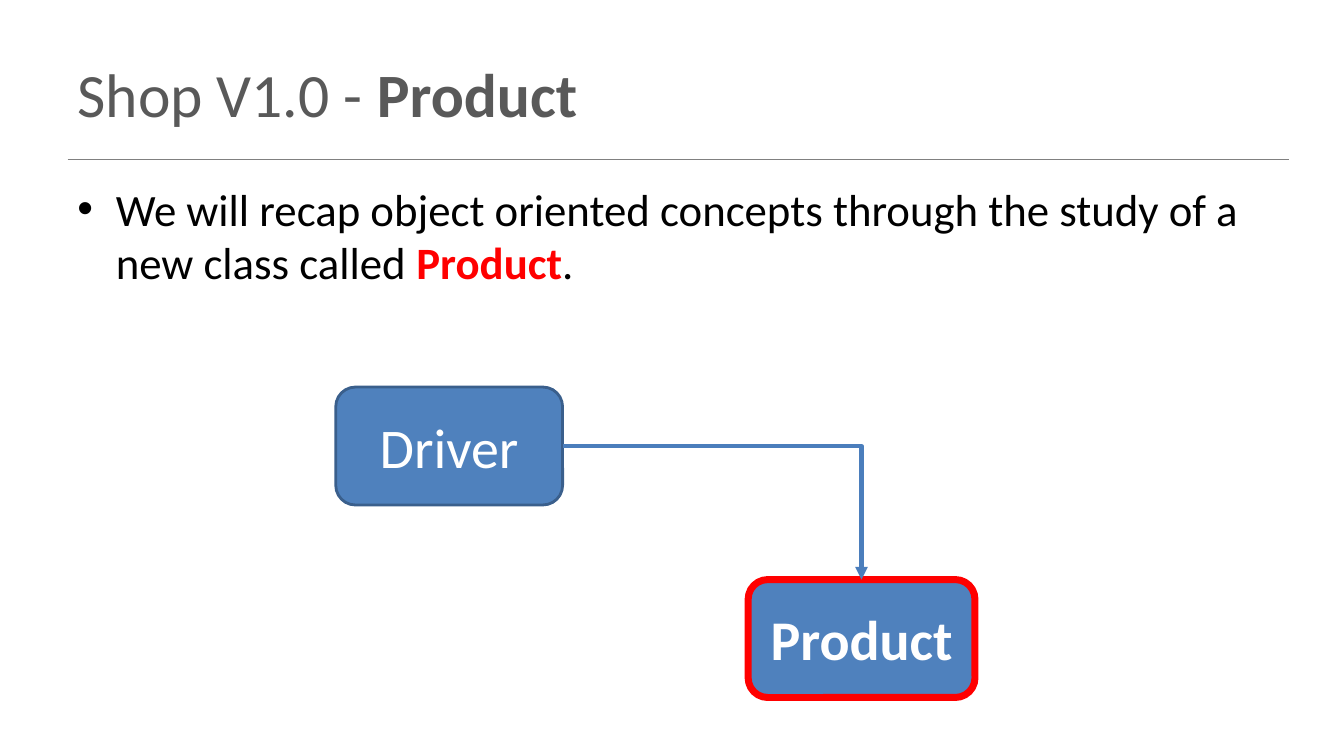
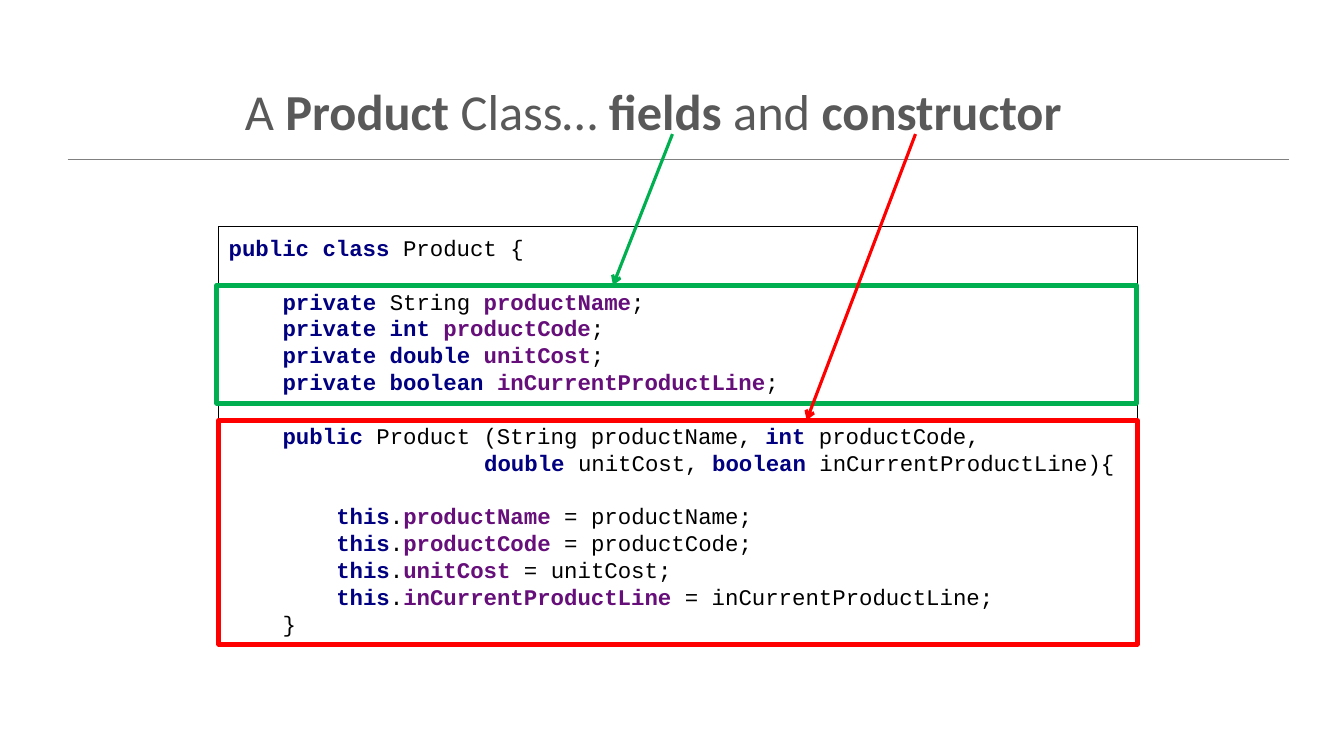
from pptx import Presentation
from pptx.dml.color import RGBColor
from pptx.enum.shapes import MSO_CONNECTOR as CONNECTOR, MSO_SHAPE as SHAPE
from pptx.enum.text import MSO_ANCHOR as ANCHOR, PP_ALIGN as ALIGN
from pptx.oxml.ns import qn
from pptx.util import Inches, Pt
from lxml import etree

GREY = RGBColor(0x59, 0x59, 0x59)
RULE_GREY = RGBColor(0x80, 0x80, 0x80)
BLACK = RGBColor(0, 0, 0)
WHITE = RGBColor(0xFF, 0xFF, 0xFF)
RED = RGBColor(0xFF, 0, 0)
GREEN = RGBColor(0, 0xB0, 0x50)
BLUE = RGBColor(0x4F, 0x81, 0xBD)
DARK_BLUE = RGBColor(0x3A, 0x5F, 0x8C)
ARROW_BLUE = RGBColor(0x4B, 0x7E, 0xBC)
NAVY = RGBColor(0, 0, 0x80)
PURPLE = RGBColor(0x66, 0x0E, 0x7A)

TITLE = {"name": "Calibri", "size": Pt(44), "bold": False, "color": GREY}
SMALL_TITLE = {**TITLE, "size": Pt(36)}
BODY = {**TITLE, "size": Pt(32), "color": BLACK}
LABEL = {**TITLE, "size": Pt(40), "color": WHITE}
CODE = {"name": "Courier New", "size": Pt(16), "bold": False, "color": BLACK}
BOLD = {"bold": True}
PLAIN = {}
HIGHLIGHT = {"bold": True, "color": RED}
KEYWORD = {"bold": True, "color": NAVY}
FIELD = {"bold": True, "color": PURPLE}

SHOP_TITLE = [("Shop V1.0 - ", PLAIN), ("Product", BOLD)]
SHOP_TEXT = [
    ("We will recap object oriented concepts through the study of a new class called ", PLAIN),
    ("Product", HIGHLIGHT),
    (".", PLAIN),
]
CLASS_BOXES = [
    ("Driver", PLAIN, 3.33, 3.84, DARK_BLUE, 2),
    ("Product", BOLD, 7.42, 5.75, RED, 5),
]

CLASS_TITLE = [
    ("A ", PLAIN), ("Product", BOLD), (" Class… ", PLAIN),
    ("fields ", BOLD), ("and", PLAIN), (" constructor", BOLD),
]
FIELDS = [
    ("String ", PLAIN, "productName"),
    ("int ", KEYWORD, "productCode"),
    ("double ", KEYWORD, "unitCost"),
    ("boolean ", KEYWORD, "inCurrentProductLine"),
]
DECLARATIONS = [
    (4, index == 0, [("private ", KEYWORD), (kind, style), (name, FIELD), (";", PLAIN)])
    for index, (kind, style, name) in enumerate(FIELDS)
]
ASSIGNMENTS = [
    (8, index == 0, [("this", KEYWORD), (".", PLAIN), (name, FIELD), (f" = {name};", PLAIN)])
    for index, (kind, style, name) in enumerate(FIELDS)
]
CODE_LINES = [
    (0, False, [("public class ", KEYWORD), ("Product {", PLAIN)]),
    *DECLARATIONS,
    (4, True, [("public ", KEYWORD), ("Product (String productName, ", PLAIN),
               ("int ", KEYWORD), ("productCode,", PLAIN)]),
    (19, False, [("double ", KEYWORD), ("unitCost, ", PLAIN),
                 ("boolean ", KEYWORD), ("inCurrentProductLine){", PLAIN)]),
    *ASSIGNMENTS,
    (4, False, [("}", PLAIN)]),
]
CODE_BOX = (2.17, 2.25, 9.11, 4.14)
CODE_PITCH = Pt(19.2)
CHAR_WIDTH = Pt(9.6)
FRAMES = [
    ((2.15, 2.83, 9.12, 1.17), GREEN, (6.67, 1.33), (6.08, 2.83)),
    ((2.17, 4.17, 9.11, 2.22), RED, (9.08, 1.33), (8, 4.17)),
]


def write(para, spans, base):
    for text, changes in spans:
        span = para.add_run()
        span.text = text
        for key, value in {**base, **changes}.items():
            if key == "color":
                span.font.color.rgb = value
            else:
                setattr(span.font, key, value)


def indent(para, left, hanging=0):
    properties = para._p.get_or_add_pPr()
    properties.set("marL", str(int(left)))
    properties.set("indent", str(-int(hanging)))
    return properties


def add_text(page, place, spans, base, anchor=ANCHOR.TOP):
    box = page.shapes.add_textbox(*map(Inches, place))
    box.text_frame.word_wrap = True
    box.text_frame.vertical_anchor = anchor
    para = box.text_frame.paragraphs[0]
    write(para, spans, base)
    return para


def add_box(page, kind, place, fill, line, width):
    box = page.shapes.add_shape(kind, *map(Inches, place))
    box.shadow.inherit = False
    if fill is None:
        box.fill.background()
    else:
        box.fill.solid()
        box.fill.fore_color.rgb = fill
    box.line.color.rgb = line
    box.line.width = Pt(width)
    box.text_frame.word_wrap = True
    box.text_frame.vertical_anchor = ANCHOR.MIDDLE
    return box


def add_line(page, start, end, color, width, head=None, kind=CONNECTOR.STRAIGHT):
    line = page.shapes.add_connector(kind, *map(Inches, (*start, *end)))
    line.line.color.rgb = color
    line.line.width = Pt(width)
    if head:
        etree.SubElement(line.line._get_or_add_ln(), qn("a:tailEnd"), type=head)
    etree.SubElement(line._element.spPr, qn("a:effectLst"))
    return line


def add_page(deck, title, place, style):
    page = deck.slides.add_slide(deck.slide_layouts[6])
    add_line(page, (0.67, 1.58), (12.78, 1.58), RULE_GREY, 1)
    add_text(page, place, title, style, ANCHOR.MIDDLE)
    return page


def build_shop_page(deck):
    page = add_page(deck, SHOP_TITLE, (0.67, 0.3, 12, 1.25), TITLE)
    para = add_text(page, (0.67, 1.75, 12, 4.95), SHOP_TEXT, BODY)
    para.space_before = Pt(6.4)
    properties = indent(para, Inches(0.38), Inches(0.38))
    etree.SubElement(properties, qn("a:buFont"), typeface="Arial")
    etree.SubElement(properties, qn("a:buChar"), char="•")
    boxes = []
    for name, style, left, top, line, width in CLASS_BOXES:
        box = add_box(page, SHAPE.ROUNDED_RECTANGLE, (left, top, 2.25, 1.17), BLUE, line, width)
        para = box.text_frame.paragraphs[0]
        para.alignment = ALIGN.CENTER
        write(para, [(name, style)], LABEL)
        boxes.append(box)
    driver, product = boxes
    arrow = add_line(page, (5.58, 4.42), (8.54, 5.75), ARROW_BLUE, 3, "triangle", CONNECTOR.ELBOW)
    arrow._element.spPr.find(qn("a:prstGeom")).set("prst", "bentConnector2")
    arrow.begin_connect(driver, 3)
    arrow.end_connect(product, 0)


def build_class_page(deck):
    page = add_page(deck, CLASS_TITLE, (2.33, 0.47, 9, 1.25), SMALL_TITLE)
    listing = add_box(page, SHAPE.RECTANGLE, CODE_BOX, WHITE, BLACK, 0.75)
    frame = listing.text_frame
    for index, (columns, gap, spans) in enumerate(CODE_LINES):
        para = frame.add_paragraph() if index else frame.paragraphs[0]
        para.alignment = ALIGN.LEFT
        para.line_spacing = CODE_PITCH
        para.space_before = CODE_PITCH if gap else Pt(0)
        indent(para, columns * CHAR_WIDTH)
        write(para, spans, CODE)
    for place, color, start, end in FRAMES:
        add_box(page, SHAPE.RECTANGLE, place, None, color, 3.5)
    for place, color, start, end in FRAMES:
        add_line(page, start, end, color, 2.25, "arrow")


def main():
    deck = Presentation()
    deck.slide_width = Inches(13.33)
    deck.slide_height = Inches(7.5)
    build_shop_page(deck)
    build_class_page(deck)
    deck.save("out.pptx")


if __name__ == "__main__":
    main()
